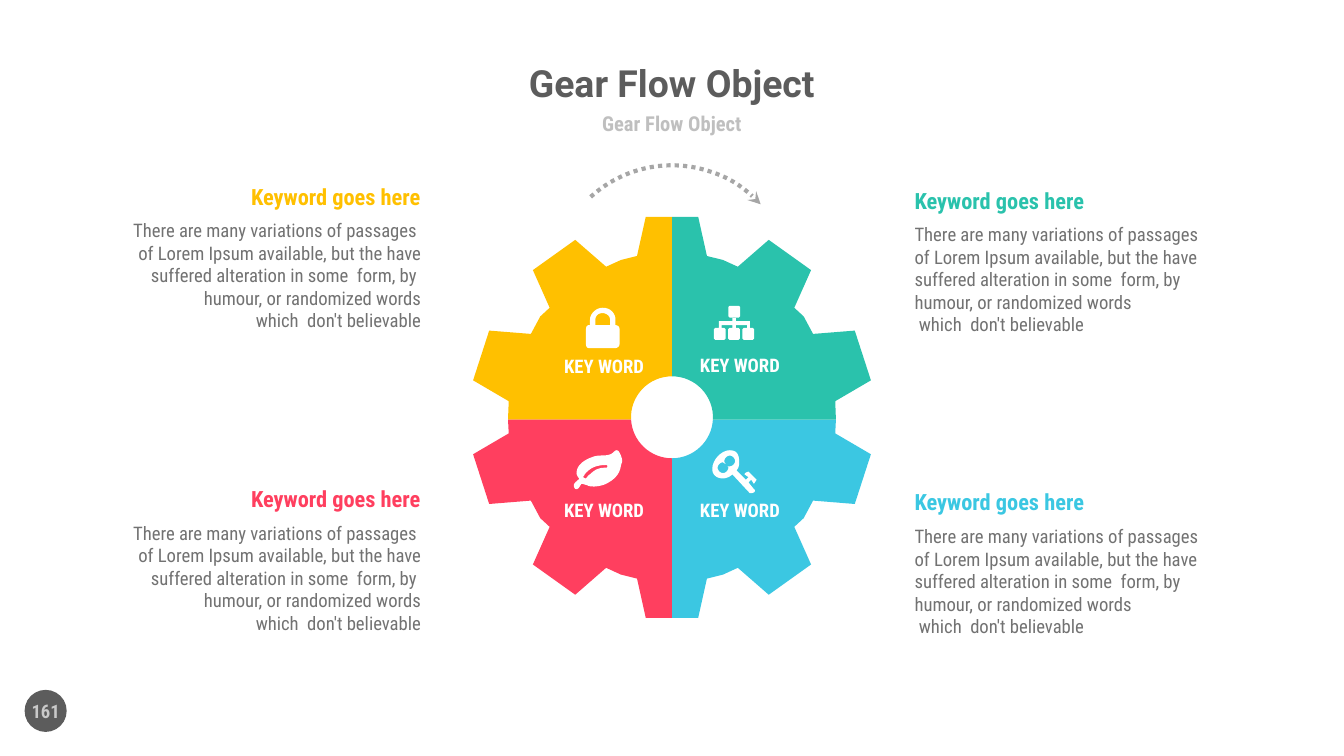
import math

from lxml import etree
from pptx import Presentation
from pptx import util as u
from pptx.dml.color import RGBColor
from pptx.enum import dml, shapes, text
from pptx.oxml.ns import qn

COLUMNS, ROWS = 100, 56.25
CELL = u.Inches(0.1)
LEFT, CENTER, RIGHT = text.PP_ALIGN.LEFT, text.PP_ALIGN.CENTER, text.PP_ALIGN.RIGHT
NARROW = "Roboto Condensed"
WHITE, DARK, GRAY = "FFFFFF", "5C5C5C", "727272"

GEAR_CENTER = (50, 31.05)
GEAR_SEAM = 31.22
HUB_RADIUS = 3.05
TEETH = [(0, 14.92), (1.95, 14.92), (2.6, 12), (3.8, 11.7), (4.9, 11.2), (7.2, 13.2),
         (10.35, 10.95), (9.1, 8.15), (9.8, 7.5), (10.5, 6.2), (13.6, 6.45), (14.8, 2.75),
         (12.15, 1.2)]

BODY = ("of Lorem Ipsum available, but the have suffered alteration in some  form, by \n"
        "humour, or randomized words\n which  don't believable")
QUARTERS = [
    ("FFC000", -1, -1, 13.6, 26.4),
    ("FF3F5F", -1, 1, 36.1, 37.1),
    ("3BC7E2", 1, 1, 36.35, 37.1),
    ("2AC2AC", 1, -1, 13.9, 26.3),
]

LOCK = [
    [(46.1, 25.6), (46.1, 25.8, 45.9, 25.9, 45.8, 25.9), (43.8, 25.9),
     (43.7, 25.9, 43.6, 25.8, 43.6, 25.6), (43.6, 24.5),
     (43.6, 24.3, 43.7, 24.2, 43.8, 24.2), (43.9, 24.2), (43.9, 23.8),
     (43.9, 23.3, 44.4, 22.9, 44.85, 22.9), (45.4, 22.9, 45.8, 23.3, 45.8, 23.8),
     (45.8, 24.2), (45.95, 24.2, 46.1, 24.3, 46.1, 24.5)],
    [(45.4, 24.2), (45.4, 23.8), (45.4, 23.5, 45.1, 23.3, 44.85, 23.3),
     (44.5, 23.3, 44.3, 23.5, 44.3, 23.8), (44.3, 24.2)],
]
LEAF = [
    [(46.2, 34.7), (46.1, 35.3, 45.7, 35.7, 45.1, 36), (44.9, 36.1, 44.5, 36.2, 44.2, 36.2),
     (44.1, 36.2, 43.8, 36.2, 43.7, 36.1), (43.6, 36.1, 43.4, 36, 43.3, 36),
     (43.2, 36, 43.1, 36.4, 42.9, 36.4), (42.8, 36.4, 42.7, 36.3, 42.7, 36.1),
     (42.7, 35.9, 43.1, 35.7, 43.1, 35.6), (43, 35.5, 42.9, 35.3, 42.9, 35.2),
     (42.9, 34.6, 43.5, 34.2, 44.1, 34), (44.5, 33.8, 45.3, 34, 45.6, 33.7),
     (45.7, 33.6, 45.8, 33.5, 45.9, 33.5), (46.1, 33.5, 46.3, 34.1, 46.3, 34.3),
     (46.3, 34.4, 46.2, 34.6, 46.2, 34.7)],
    [(45.1, 34.6), (44.4, 34.6, 43.9, 34.8, 43.5, 35.3), (43.5, 35.4, 43.4, 35.4, 43.4, 35.5),
     (43.4, 35.5, 43.5, 35.6, 43.6, 35.6), (43.7, 35.5, 43.8, 35.3, 43.9, 35.3),
     (44.3, 34.9, 44.6, 34.8, 45.1, 34.8), (45.1, 34.8, 45.2, 34.8, 45.2, 34.7),
     (45.2, 34.6, 45.1, 34.6, 45.1, 34.6)],
]
KEY = [
    [(56.1, 36), (55.9, 35.7), (55.7, 35.9), (56.1, 36.4),
     (56.3, 36.5, 56.1, 36.7, 55.9, 36.7), (55.8, 36.7), (54.5, 35.3),
     (54.3, 35.5, 54, 35.6, 53.8, 35.6), (53.3, 35.6, 53, 35.3, 53, 34.9),
     (53, 34.2, 53.7, 33.5, 54.3, 33.5), (54.8, 33.5, 55, 33.8, 55, 34.3),
     (55, 34.6, 55, 34.8, 54.8, 35), (55.5, 35.7), (55.7, 35.5), (55.4, 35.3),
     (55.4, 35.2, 55.6, 35.1, 55.7, 35.1), (56.3, 35.7)],
    [(54.3, 33.9), (54.1, 33.9, 53.9, 34.1, 53.9, 34.3), (53.9, 34.4, 53.9, 34.4, 54, 34.5),
     (53.9, 34.5, 53.8, 34.4, 53.8, 34.4), (53.6, 34.4, 53.4, 34.6, 53.4, 34.8),
     (53.4, 35, 53.6, 35.2, 53.8, 35.2), (54, 35.2, 54.2, 35, 54.2, 34.8),
     (54.2, 34.8, 54.2, 34.7, 54.1, 34.7), (54.2, 34.7, 54.2, 34.7, 54.3, 34.7),
     (54.5, 34.7, 54.7, 34.5, 54.7, 34.3), (54.7, 34.1, 54.5, 33.9, 54.3, 33.9)],
]
TREE_BRANCHES = [(54.5, 23.6), (54.75, 23.6), (54.75, 23.9), (55.8, 23.9), (55.8, 24.4),
                 (55.6, 24.4), (55.6, 24.2), (54.75, 24.2), (54.75, 24.4), (54.5, 24.4),
                 (54.5, 24.2), (53.7, 24.2), (53.7, 24.4), (53.5, 24.4), (53.5, 23.9),
                 (54.5, 23.9)]


def color(value):
    return RGBColor.from_string(value)


def node(x, y, width=0.88, height=0.88, cut=0.1):
    right, bottom = x + width, y + height
    return [(x + cut, y), (right - cut, y), (right, y + cut), (right, bottom - cut),
            (right - cut, bottom), (x + cut, bottom), (x, bottom - cut), (x, y + cut)]


def flatten(contour, steps=8):
    points = [contour[0]]
    for item in contour[1:]:
        if len(item) == 2:
            points.append(item)
            continue
        controls = [points[-1], item[:2], item[2:4], item[4:]]
        for step in range(1, steps + 1):
            t = step / steps
            weights = [math.comb(3, i) * t**i * (1 - t)**(3 - i) for i in range(4)]
            points.append(tuple(sum(w * p[axis] for w, p in zip(weights, controls))
                                for axis in (0, 1)))
    return points


def gear_quarter(side, level):
    seam = (GEAR_SEAM - GEAR_CENTER[1]) * level
    start = math.asin(seam / HUB_RADIUS)
    angles = [start + (math.pi / 2 - start) * i / 16 for i in range(17)]
    hub = [(HUB_RADIUS * math.cos(a), HUB_RADIUS * math.sin(a)) for a in angles]
    return [(GEAR_CENTER[0] + side * x, GEAR_CENTER[1] + level * y)
            for x, y in hub + TEETH + [(12.2, seam)]]


class GearSlide:
    """Hold the style and the current slide, measured in grid cells."""

    def __init__(self, presentation):
        self.slide = presentation.slides.add_slide(presentation.slide_layouts[6])

    def shape(self, kind, x, y, width, height):
        shape = self.slide.shapes.add_shape(
            kind, *(round(v * CELL) for v in (x, y, width, height)))
        shape.shadow.inherit = False
        return shape

    def paint(self, shape, fill):
        shape.shadow.inherit = False
        shape.fill.solid()
        shape.fill.fore_color.rgb = color(fill)
        shape.line.fill.background()

    def disc(self, x, y, size, fill):
        self.paint(self.shape(shapes.MSO_SHAPE.OVAL, x, y, size, size), fill)

    def outline(self, contours, fill):
        builder = None
        for contour in contours:
            points = [(x * CELL, y * CELL) for x, y in flatten(contour)]
            if builder is None:
                builder = self.slide.shapes.build_freeform(*points[0], scale=1.0)
            else:
                builder.move_to(*points[0])
            builder.add_line_segments(points[1:], close=True)
        self.paint(builder.convert_to_shape(), fill)

    def arc_arrow(self, x, y, size, rotation, stroke):
        arc = self.shape(shapes.MSO_SHAPE.ARC, x, y, size, size)
        arc.rotation = rotation
        arc.fill.background()
        arc.line.color.rgb = color(stroke)
        arc.line.width = u.Pt(2.25)
        arc.line.dash_style = dml.MSO_LINE.ROUND_DOT
        etree.SubElement(arc.line._get_or_add_ln(), qn("a:tailEnd"), type="stealth")

    def label(self, lines, x, y, width, height, size, ink, align=CENTER, bold=True,
              font=NARROW, anchor=text.MSO_ANCHOR.MIDDLE, fit=False):
        box = self.slide.shapes.add_textbox(
            *(round(v * CELL) for v in (x, y, width, height)))
        frame = box.text_frame
        frame.word_wrap = not fit
        if fit:
            frame.auto_size = text.MSO_AUTO_SIZE.SHAPE_TO_FIT_TEXT
        frame.vertical_anchor = anchor
        frame.margin_left = frame.margin_right = frame.margin_top = frame.margin_bottom = 0
        for index, line in enumerate(lines):
            paragraph = frame.add_paragraph() if index else frame.paragraphs[0]
            paragraph.text = line
            paragraph.alignment = align
            paragraph.font.name = font
            paragraph.font.size = u.Pt(size)
            paragraph.font.bold = bold
            paragraph.font.color.rgb = color(ink)

    def description(self, side, y, ink):
        align, x, heading_x, end = ((LEFT, 68.05, 68.05, "") if side > 0
                                    else (RIGHT, 6.4, 15.8, " "))
        top = text.MSO_ANCHOR.TOP
        self.label(["There are many variations of passages" + end, BODY], x, y + 2.72,
                   24.9, 8.4, 10, GRAY, align, bold=False, anchor=top)
        self.label(["Keyword goes here"], heading_x, y, 15.5, 2, 12, ink, align, anchor=top)


def main():
    presentation = Presentation()
    presentation.slide_width = round(COLUMNS * CELL)
    presentation.slide_height = round(ROWS * CELL)
    page = GearSlide(presentation)
    page.disc(1.83, 51.33, 3.13, DARK)
    page.label(["Gear Flow Object"], 19.15, 4.2, 61.7, 3.9, 20, DARK, font="Roboto")
    page.label(["Gear Flow Object"], 27.5, 8.1, 45, 2.2, 11, "BFBFBF")
    page.label(["161"], 0.9, 51.4, 5, 3, 10, "C9C9C9")
    page.arc_arrow(41.05, 12.3, 17.9, 317.5, "A6A6A6")
    for fill, side, level, text_top, key_top in QUARTERS:
        page.outline([gear_quarter(side, level)], fill)
        page.label(["KEY WORD"], 41.1 if side < 0 else 51.2, key_top, 7.7, 1.7, 10, WHITE,
                   fit=True)
        page.description(side, text_top, fill)
    tree = [TREE_BRANCHES, node(54.2, 22.75)] + [node(53.12 + 1.06 * i, 24.4) for i in range(3)]
    for icon in (LOCK, LEAF, tree, KEY):
        page.outline(icon, WHITE)
    presentation.save("out.pptx")


if __name__ == "__main__":
    main()
